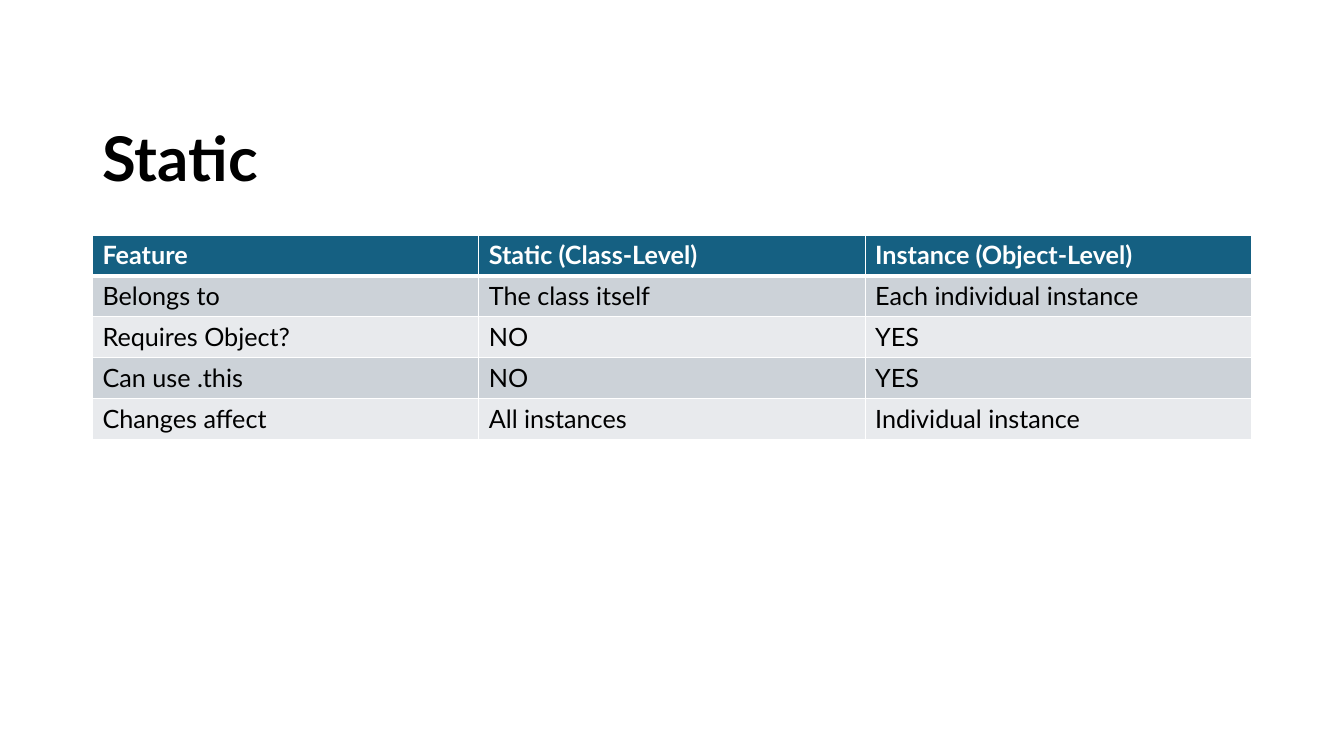
from lxml.etree import SubElement
from pptx import Presentation
from pptx.dml.color import RGBColor
from pptx.enum.text import MSO_ANCHOR, PP_ALIGN
from pptx.oxml.ns import qn
from pptx.util import Cm, Pt

COLORS = {
    "white": "FFFFFF",
    "black": "000000",
    "header": "156082",
    "band_dark": "CCD2D8",
    "band_light": "E8EAED",
}
FONT = "Lato"
LEFT, WIDTH = Cm(2.33), Cm(29.21)
ROWS = [
    ["Feature", "Static (Class-Level)", "Instance (Object-Level)"],
    ["Belongs to", "The class itself", "Each individual instance"],
    ["Requires Object?", "NO", "YES"],
    ["Can use .this", "NO", "YES"],
    ["Changes affect", "All instances", "Individual instance"],
]


def write_text(tf, text, color, **formats):
    p = tf.paragraphs[0]
    p.alignment = PP_ALIGN.LEFT
    r = p.add_run()
    r.text = text
    for name, value in {"name": FONT, **formats}.items():
        setattr(r.font, name, value)
    r.font.color.rgb = RGBColor.from_string(COLORS[color])
    return p


def add_title(s, text):
    sp = s.shapes.title
    box = {"left": LEFT, "top": Cm(2.24), "width": WIDTH, "height": Cm(3.68)}
    for name, value in box.items():
        setattr(sp, name, value)
    tf = sp.text_frame
    tf.vertical_anchor = MSO_ANCHOR.MIDDLE
    p = write_text(tf, text, "black", size=Pt(44), bold=True)
    p.line_spacing = 0.9


def set_borders(cell, widths):
    tcPr = cell._tc.get_or_add_tcPr()
    for side, width in widths.items():
        ln = SubElement(tcPr, qn(f"a:ln{side}"), w=str(Pt(width)))
        fill = SubElement(ln, qn("a:solidFill"))
        SubElement(fill, qn("a:srgbClr"), val=COLORS["white"])


def format_cell(cell, text, row):
    is_header = row == 0
    set_borders(cell, {
        "L": 1,
        "R": 1,
        "T": 3 if row == 1 else 1,
        "B": 3 if is_header else 1,
    })
    band = "band_dark" if row % 2 else "band_light"
    cell.fill.solid()
    cell.fill.fore_color.rgb = RGBColor.from_string(
        COLORS["header" if is_header else band])
    write_text(cell.text_frame, text, "white" if is_header else "black",
               size=Pt(18), bold=is_header)


def add_comparison(s, rows):
    height = Cm(1.03)
    table = s.shapes.add_table(len(rows), len(rows[0]), LEFT, Cm(5.92),
                               WIDTH, height * len(rows)).table
    for i, texts in enumerate(rows):
        for j, text in enumerate(texts):
            format_cell(table.cell(i, j), text, i)


def main():
    prs = Presentation()
    prs.slide_width, prs.slide_height = Cm(33.87), Cm(19.05)
    s = prs.slides.add_slide(prs.slide_layouts[5])
    add_title(s, "Static")
    add_comparison(s, ROWS)
    prs.save("out.pptx")


if __name__ == "__main__":
    main()
